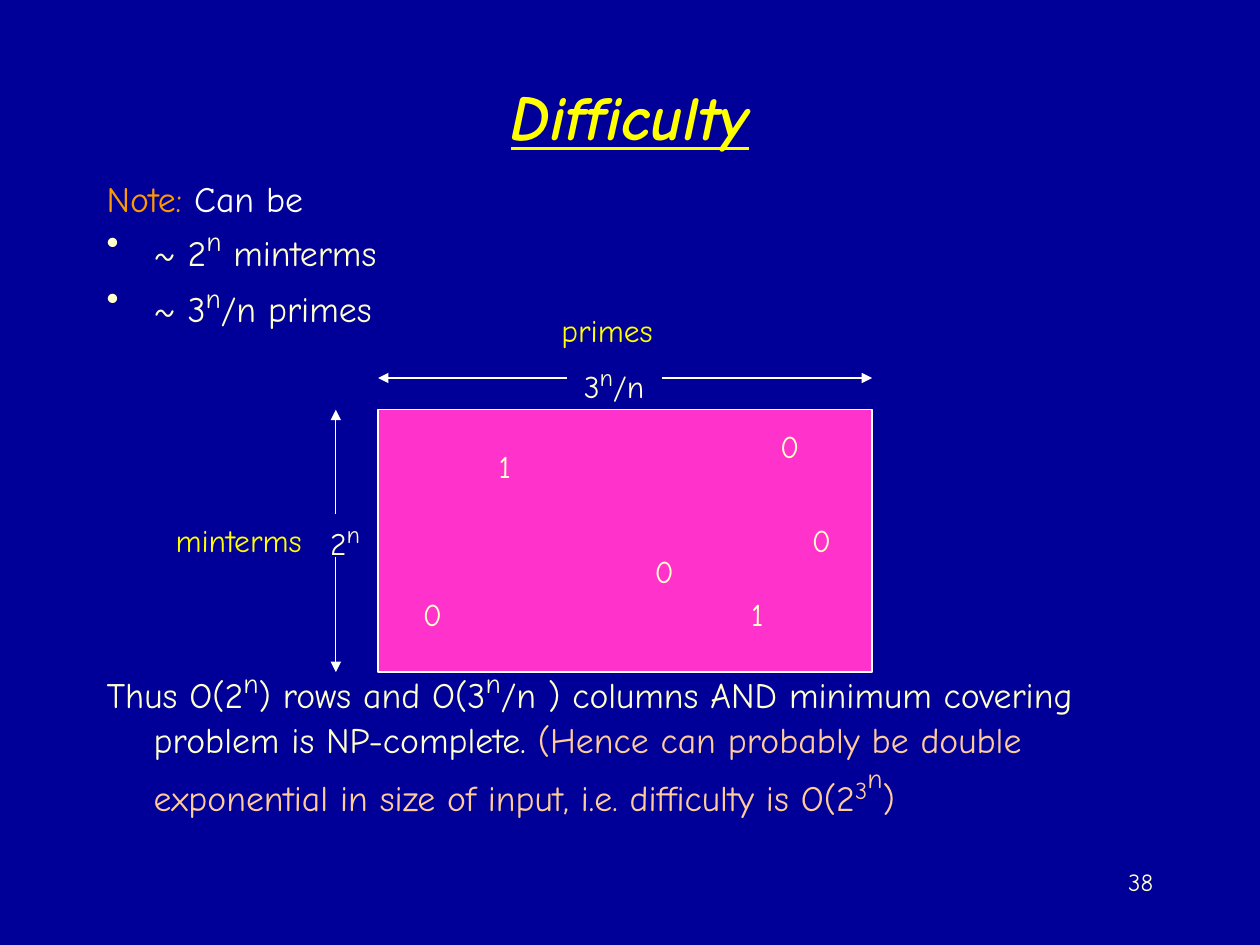
from dataclasses import dataclass

from lxml.etree import SubElement
from pptx import Presentation
from pptx.dml.color import RGBColor
from pptx.enum.shapes import MSO_CONNECTOR, MSO_SHAPE
from pptx.enum.text import MSO_ANCHOR, MSO_AUTO_SIZE, PP_ALIGN
from pptx.oxml.ns import qn
from pptx.util import Cm, Pt


@dataclass(frozen=True)
class Theme:
    font: str = "Comic Neue"
    background: str = "000099"
    heading: str = "FFFF00"
    note: str = "FF9900"
    white: str = "FFFFFF"
    text: str = "FFFFCC"
    aside: str = "FFCC99"
    matrix: str = "FF33CC"
    title_size: float = 36
    body_size: float = 20.4
    body_power: float = 27.2
    body_exponent: float = 23.8
    label_size: float = 18
    label_power: float = 24
    number_size: float = 14
    line_width: float = 0.75


@dataclass(frozen=True)
class Piece:
    """A stretch of text; raised is the superscript height in percent."""
    text: str
    color: str
    size: float
    raised: int = 0


class SlideBuilder:
    def __init__(self, slide, theme):
        self.slide = slide
        self.theme = theme
        fill = slide.background.fill
        fill.solid()
        fill.fore_color.rgb = RGBColor.from_string(theme.background)

    def text_box(self, left, top, width, height, anchor=MSO_ANCHOR.TOP, wrap=True):
        box = self.slide.shapes.add_textbox(Cm(left), Cm(top), Cm(width), Cm(height))
        frame = box.text_frame
        frame.word_wrap = wrap
        frame.vertical_anchor = anchor
        frame.auto_size = MSO_AUTO_SIZE.NONE if wrap else MSO_AUTO_SIZE.SHAPE_TO_FIT_TEXT
        return frame

    def add_pieces(self, paragraph, pieces, align=PP_ALIGN.LEFT):
        paragraph.alignment = align
        for piece in pieces:
            run = paragraph.add_run()
            run.text = piece.text
            run.font.name = self.theme.font
            run.font.size = Pt(piece.size)
            run.font.color.rgb = RGBColor.from_string(piece.color)
            if piece.raised:
                run.font._element.set("baseline", str(piece.raised * 1000))

    def title(self, text, *place):
        paragraph = self.text_box(*place, anchor=MSO_ANCHOR.MIDDLE).paragraphs[0]
        self.add_pieces(paragraph, [Piece(text, self.theme.heading, self.theme.title_size)],
                        PP_ALIGN.CENTER)
        font = paragraph.runs[0].font
        font.bold = font.italic = font.underline = True

    def body_paragraph(self, paragraph, pieces, bullet=False, spacing=0.8, before=6):
        self.add_pieces(paragraph, pieces)
        paragraph.line_spacing = spacing
        paragraph.space_before = Pt(before)
        properties = paragraph._p.get_or_add_pPr()
        properties.set("marL", str(Cm(0.95)))
        properties.set("indent", str(-Cm(0.95)))
        if bullet:
            color = SubElement(properties, qn("a:buClr"))
            SubElement(color, qn("a:srgbClr")).set("val", self.theme.text)
            SubElement(properties, qn("a:buChar")).set("char", "•")
        else:
            SubElement(properties, qn("a:buNone"))

    def label(self, pieces, center_x, center_y, width, height=1.02):
        frame = self.text_box(center_x - width / 2, center_y - height / 2, width, height,
                              MSO_ANCHOR.MIDDLE, wrap=False)
        self.add_pieces(frame.paragraphs[0], pieces, PP_ALIGN.CENTER)

    def rectangle(self, left, top, width, height):
        block = self.slide.shapes.add_shape(
            MSO_SHAPE.RECTANGLE, Cm(left), Cm(top), Cm(width), Cm(height))
        block.shadow.inherit = False
        block.fill.solid()
        block.fill.fore_color.rgb = RGBColor.from_string(self.theme.matrix)
        self.outline(block.line)

    def outline(self, line):
        line.color.rgb = RGBColor.from_string(self.theme.white)
        line.width = Pt(self.theme.line_width)

    def arrow(self, x1, y1, x2, y2):
        connector = self.slide.shapes.add_connector(
            MSO_CONNECTOR.STRAIGHT, Cm(x1), Cm(y1), Cm(x2), Cm(y2))
        self.outline(connector.line)
        SubElement(connector.line._get_or_add_ln(), qn("a:tailEnd")).set("type", "triangle")
        SubElement(connector._element.spPr, qn("a:effectLst"))

    def page_number(self, text, *place):
        self.add_pieces(self.text_box(*place).paragraphs[0],
                        [Piece(text, self.theme.text, self.theme.number_size)],
                        PP_ALIGN.RIGHT)


def main():
    deck = Presentation()
    deck.slide_width, deck.slide_height = Cm(25.4), Cm(19.05)
    theme = Theme()
    page = SlideBuilder(deck.slides.add_slide(deck.slide_layouts[6]), theme)

    def body(text, color=theme.text):
        return Piece(text, color, theme.body_size)

    def label(text, color=theme.text):
        return Piece(text, color, theme.label_size)

    body_n = Piece("n", theme.text, theme.body_power, 30)
    label_n = Piece("n", theme.text, theme.label_power, 30)

    # Matrix block
    left, top, width, height = 7.62, 8.26, 9.96, 5.29
    right, bottom = left + width, top + height
    page.rectangle(left, top, width, height)

    # Title
    page.title("Difficulty", 1.9, 0.85, 21.59, 2.96)

    # Note, bounds and conclusion around the matrix
    bounds = page.text_box(1.9, 3.6, 22.23, 13.12)
    page.body_paragraph(bounds.paragraphs[0],
                        [body("Note: ", theme.note), body("Can be", theme.white)])
    for base, rest in (("~ 2", " minterms"), ("~ 3", "/n primes")):
        page.body_paragraph(bounds.add_paragraph(), [body(base), body_n, body(rest)],
                            bullet=True)
    conclusion = [
        body("Thus O(2"), body_n, body(") rows and O(3"), body_n,
        body("/n ) columns AND minimum covering problem is NP-complete. "),
        body("(Hence can probably be double exponential in size of input, "
             "i.e. difficulty is O(2", theme.aside),
        Piece("3", theme.aside, theme.body_exponent, 30),
        Piece("n", theme.aside, theme.body_power, 50),
        body(")", theme.aside),
    ]
    page.body_paragraph(bounds.add_paragraph(), conclusion, spacing=1, before=188)

    # Matrix entries, by centre
    entries = (("0", 13.37, 11.51), ("1", 10.18, 9.4), ("0", 16.54, 10.88),
               ("0", 15.9, 8.98), ("1", 15.27, 12.37), ("0", 8.7, 12.37))
    for digit, x, y in entries:
        page.label([label(digit)], x, y, 0.85)

    # Dimension labels
    page.label([label("3"), label_n, label("/n")], 12.38, 7.7, 1.73, 1.27)
    page.label([label("minterms", theme.heading)], 4.81, 10.88, 3.07)
    page.label([label("primes", theme.heading)], 12.24, 6.66, 2.34)
    page.label([label("2"), label_n], 6.96, 10.87, 1.12, 1.27)

    # Dimension arrows
    columns_y, rows_x = 7.62, 6.77
    page.arrow(13.34, columns_y, right, columns_y)
    page.arrow(11.43, columns_y, left, columns_y)
    page.arrow(rows_x, 10.37, rows_x, top)
    page.arrow(rows_x, 11.22, rows_x, bottom)

    # Page number
    page.page_number("38", 18.2, 17.36, 5.3, 1.27)

    deck.save("out.pptx")


if __name__ == "__main__":
    main()
